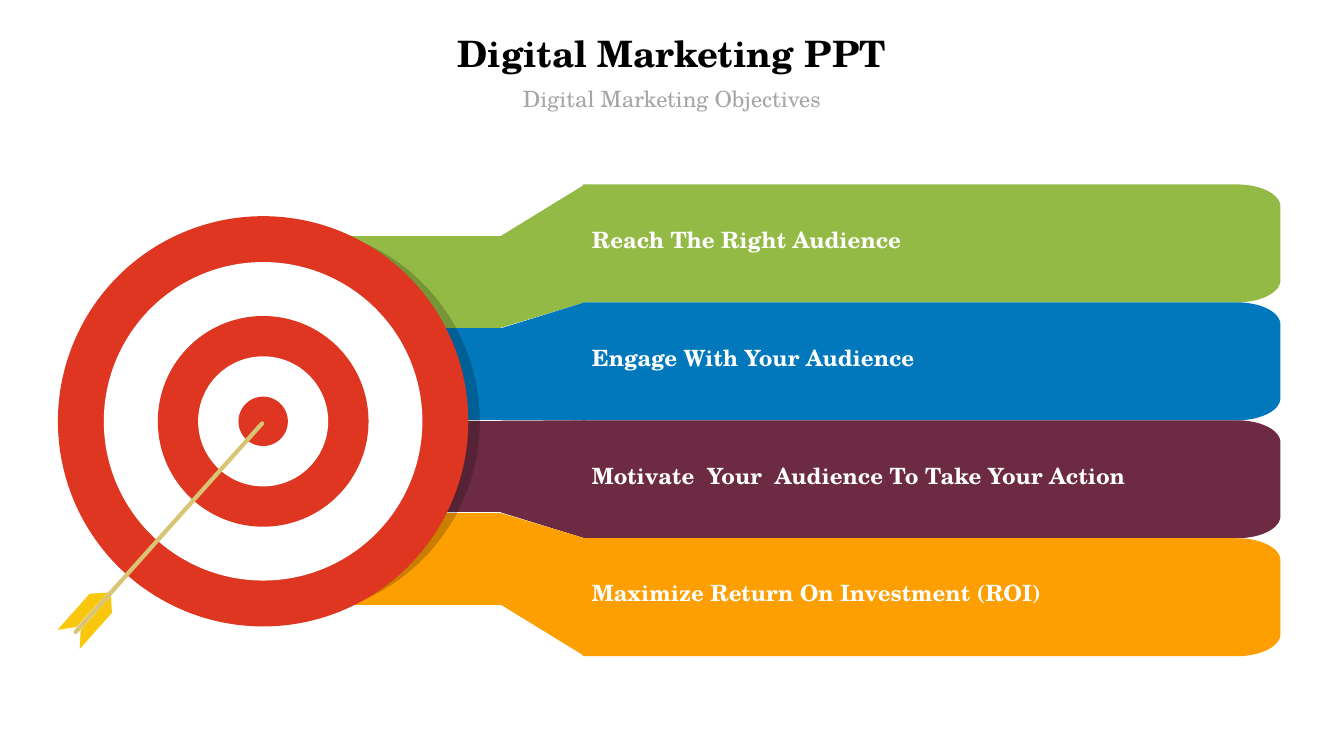
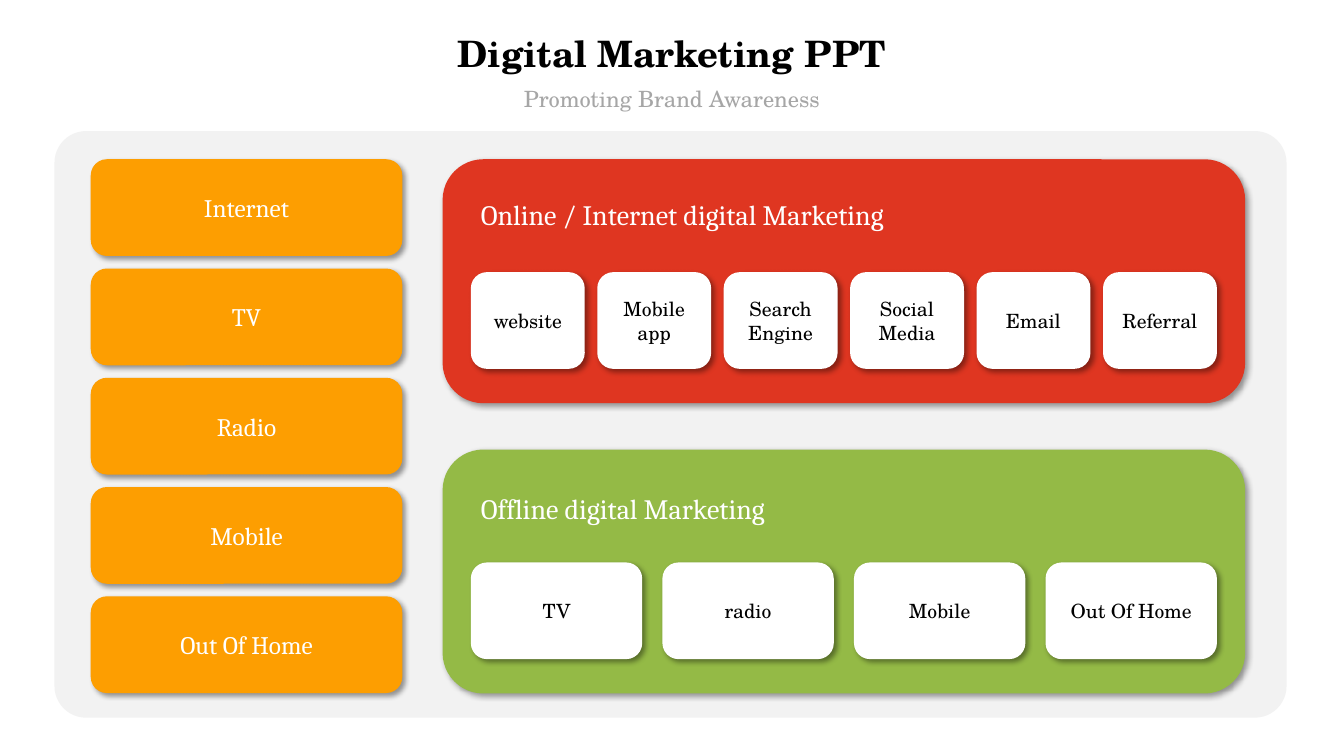
from math import cos, pi, sin

from lxml import etree
from pptx import Presentation
from pptx.dml.color import RGBColor
from pptx.enum import shapes, text
from pptx.oxml import ns
from pptx.util import Inches, Pt

COLORS = {
    "green": "94BA46", "blue": "0178BC", "plum": "6C2B43", "orange": "FD9E01",
    "red": "DF3621", "yellow": "F9C80E", "wood": "D9C473", "panel": "F2F2F2",
    "gray": "A6A6A6", "white": "FFFFFF", "black": "000000",
}
SERIF, BODY = "TeX Gyre Schola", "Cambria"
LEFT, CENTER = text.PP_ALIGN.LEFT, text.PP_ALIGN.CENTER
TOP, MIDDLE = text.MSO_ANCHOR.TOP, text.MSO_ANCHOR.MIDDLE
ROUNDED, OVAL = shapes.MSO_SHAPE.ROUNDED_RECTANGLE, shapes.MSO_SHAPE.OVAL


def paint(shape, color, raised=False):
    """Fill a shape without outline; a raised one casts a soft shadow."""
    shape.fill.solid()
    shape.fill.fore_color.rgb = RGBColor.from_string(COLORS[color])
    shape.line.fill.background()
    shape.shadow.inherit = False
    if raised:
        effects = shape._element.spPr.find(ns.qn("a:effectLst"))
        shadow = etree.SubElement(effects, ns.qn("a:outerShdw"), blurRad=str(Pt(4)),
                                  dist=str(Pt(3)), dir="2700000", algn="tl", rotWithShape="0")
        black = etree.SubElement(shadow, ns.qn("a:srgbClr"), val=COLORS["black"])
        etree.SubElement(black, ns.qn("a:alpha"), val="40000")
    return shape


def write(shape, words, size, color, font=SERIF, align=CENTER, anchor=TOP, bold=False):
    """Put one formatted paragraph into a shape."""
    frame = shape.text_frame
    frame.text = words
    frame.word_wrap = True
    frame.auto_size = text.MSO_AUTO_SIZE.NONE
    frame.vertical_anchor = anchor
    paragraph = frame.paragraphs[0]
    paragraph.alignment = align
    paragraph.font.name = font
    paragraph.font.size = Pt(size)
    paragraph.font.bold = bold
    paragraph.font.color.rgb = RGBColor.from_string(COLORS[color])
    return frame


prs = Presentation()
prs.slide_width, prs.slide_height = Inches(13.33), Inches(7.5)

# Shared title and subtitle
slides = []
for subtitle in ("Digital Marketing Objectives", "Promoting Brand Awareness"):
    slide = prs.slides.add_slide(prs.slide_layouts[5])
    title = slide.shapes.title
    title.left, title.top = Inches(0), Inches(0.26)
    title.width, title.height = prs.slide_width, Inches(0.54)
    write(title, "Digital Marketing PPT", 26, "black", bold=True)
    line = slide.shapes.add_textbox(0, Inches(0.8), prs.slide_width, Inches(0.37))
    write(line, subtitle, 16, "gray")
    slides.append(slide)
objectives, channels = slides

# Slide 1: bands of a tail, a widening fold and a rounded bar
BAND_TOP, BAND_H = 1.83, 1.17
TAIL_TOP, TAIL_PITCH, TAIL_H = 2.34, 0.917, 0.91
CORNER_X, CORNER_Y = 0.43, 0.22
quarter = [pi / 2 * step / 12 for step in range(13)]
goals = [
    ("Reach The Right Audience", "green"),
    ("Engage With Your Audience", "blue"),
    ("Motivate  Your  Audience To Take Your Action", "plum"),
    ("Maximize Return On Investment (ROI)", "orange"),
]
tails, bars, folds = [], [], []
for i, (goal, color) in enumerate(goals):
    top, tail = BAND_TOP + i * BAND_H, TAIL_TOP + i * TAIL_PITCH
    bottom, tail_end = top + BAND_H, tail + TAIL_H
    upper = [(12.27 + CORNER_X * sin(a), top + CORNER_Y * (1 - cos(a))) for a in quarter]
    lower = [(x, top + bottom - y) for x, y in reversed(upper)]
    tails.append((color, [(3.43, tail), (4.97, tail), (4.97, tail_end), (3.43, tail_end)]))
    bars.append((color, [(5.78, top), *upper, *lower, (5.78, bottom)]))
    folds.append((color, [(5.8, bottom), (4.97, tail_end), (4.97, tail), (5.8, top)]))

# Target shade on the tails, and the arrow's two feathers
arc = [-1.25 + 2.5 * step / 40 for step in range(41)]
shade = [(2.82 + 1.94 * cos(a), 4.18 + 1.94 * sin(a)) for a in arc]
outlines = [
    *tails,
    ("black", [(3.16, 2.34), *shade, (3.16, 6.01)]),
    *bars,
    *folds,
    ("yellow", [(1.07, 5.88), (0.76, 6.22), (0.57, 6.25), (0.89, 5.89)]),
    ("yellow", [(1.1, 5.91), (0.8, 6.25), (0.79, 6.44), (1.11, 6.08)]),
]
for color, points in outlines:
    start, *rest = [(Inches(x), Inches(y)) for x, y in points]
    builder = objectives.shapes.build_freeform(*start)
    builder.add_line_segments(rest)
    area = paint(builder.convert_to_shape(), color)
    if color == "black":
        tint = area._element.spPr.find(".//" + ns.qn("a:srgbClr"))
        etree.SubElement(tint, ns.qn("a:alpha"), val="20000")

# Target rings
for i, size in enumerate((4.07, 3.16, 2.09, 1.29, 0.49)):
    ring = objectives.shapes.add_shape(OVAL, Inches(2.61 - size / 2), Inches(4.18 - size / 2),
                                       Inches(size), Inches(size))
    paint(ring, "white" if i % 2 else "red")

# Arrow shaft
shaft = objectives.shapes.add_connector(shapes.MSO_CONNECTOR.STRAIGHT, Inches(0.75),
                                        Inches(6.27), Inches(2.6), Inches(4.2))
shaft.line.width = Pt(3)
shaft.line.color.rgb = RGBColor.from_string(COLORS["wood"])
shaft.line._get_or_add_ln().set("cap", "rnd")
etree.SubElement(shaft._element.spPr, ns.qn("a:effectLst"))

# Band labels
for i, (goal, color) in enumerate(goals):
    label = objectives.shapes.add_textbox(Inches(5.87), Inches(BAND_TOP + i * BAND_H + 0.41),
                                          Inches(6.72), Inches(0.32))
    frame = write(label, goal, 16, "white", align=LEFT, bold=True)
    frame.margin_left = frame.margin_right = frame.margin_top = frame.margin_bottom = 0

# Slide 2: backdrop
backdrop = channels.shapes.add_shape(ROUNDED, Inches(0.54), Inches(1.3), Inches(12.22), Inches(5.82))
backdrop.adjustments[0] = 0.054
paint(backdrop, "panel")

# Media column
CARD_H = 0.96
for i, medium in enumerate(("Internet", "TV", "Radio", "Mobile", "Out Of Home")):
    button = channels.shapes.add_shape(ROUNDED, Inches(0.9), Inches(1.58 + i * 1.084),
                                       Inches(3.09), Inches(CARD_H))
    write(paint(button, "orange", raised=True), medium, 18, "white", BODY, anchor=MIDDLE)

# Online and offline panels, each with a row of cards spread over the same width
ROW_LEFT, ROW_W = 4.67, 7.4
panels = [
    ("Online / Internet digital Marketing", "red", 1.58, 1.91, 1.13,
     ("website", "Mobile app", "Search Engine", "Social Media", "Email", "Referral")),
    ("Offline digital Marketing", "green", 4.46, 4.83, 1.7,
     ("TV", "radio", "Mobile", "Out Of Home")),
]
for heading, color, top, heading_top, card_w, cards in panels:
    panel = channels.shapes.add_shape(ROUNDED, Inches(4.39), Inches(top), Inches(7.96), Inches(2.42))
    paint(panel, color, raised=True)
    caption = channels.shapes.add_textbox(Inches(ROW_LEFT), Inches(heading_top),
                                          Inches(7.18), Inches(0.44))
    write(caption, heading, 20, "white", BODY, LEFT)
    pitch = (ROW_W - card_w) / (len(cards) - 1)
    for i, channel in enumerate(cards):
        card = channels.shapes.add_shape(ROUNDED, Inches(ROW_LEFT + i * pitch), Inches(top + 1.12),
                                         Inches(card_w), Inches(CARD_H))
        write(paint(card, "white", raised=True), channel, 14, "black", anchor=MIDDLE)

prs.save("out.pptx")
